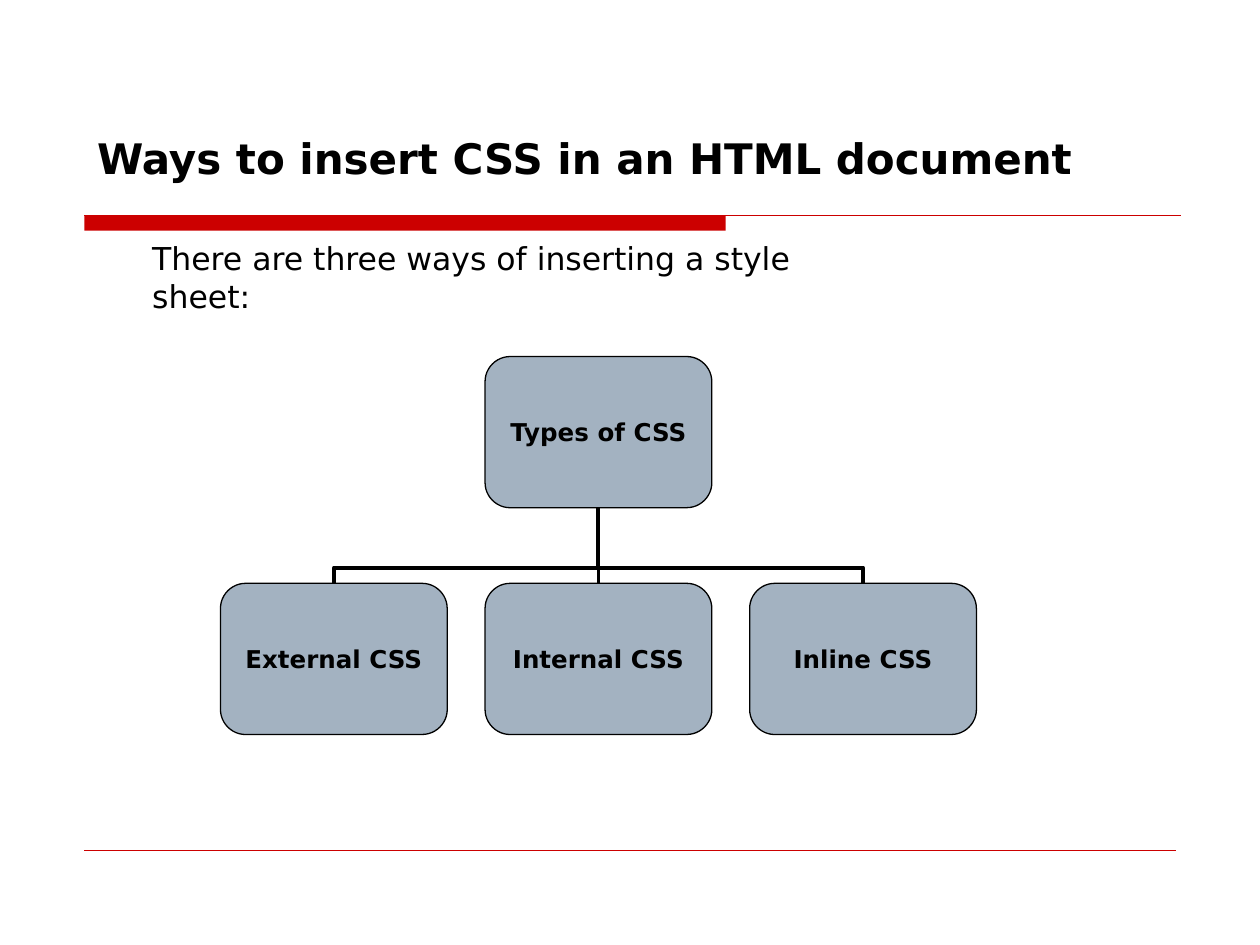
from lxml import etree
from pptx import Presentation
from pptx.dml.color import RGBColor
from pptx.enum.shapes import MSO_CONNECTOR, MSO_SHAPE
from pptx.enum.text import MSO_ANCHOR, MSO_AUTO_SIZE, PP_ALIGN
from pptx.oxml.ns import qn
from pptx.util import Pt

PX = 9144  # 100 px to the inch
STRAIGHT, ELBOW = MSO_CONNECTOR.STRAIGHT, MSO_CONNECTOR.ELBOW
LEFT, CENTER = PP_ALIGN.LEFT, PP_ALIGN.CENTER
MIDDLE, NO_FIT = MSO_ANCHOR.MIDDLE, MSO_AUTO_SIZE.NONE
RED, BLACK, GREY_BLUE = "CC0000", "000000", "A3B2C1"
color = RGBColor.from_string


def write(shape, text, size, bold=False, align=LEFT, inset=(10, 5)):
    frame = shape.text_frame
    frame.word_wrap = True
    frame.auto_size = NO_FIT
    frame.vertical_anchor = MIDDLE
    frame.margin_left = frame.margin_right = inset[0] * PX
    frame.margin_top = frame.margin_bottom = inset[1] * PX
    para = frame.paragraphs[0]
    para.alignment = align
    span = para.add_run()
    span.text = text
    span.font.name = "DejaVu Sans"
    span.font.size = Pt(size)
    span.font.bold = bold
    span.font.color.rgb = color(BLACK)


def connect(kind, x1, y1, x2, y2, line_color, width):
    line = page.shapes.add_connector(kind, x1 * PX, y1 * PX, x2 * PX, y2 * PX)
    line.line.color.rgb = color(line_color)
    line.line.width = Pt(width)
    etree.SubElement(line._element.spPr, qn("a:effectLst"))
    return line


deck = Presentation()
deck.slide_width, deck.slide_height = 1000 * PX, 750 * PX
page = deck.slides.add_slide(deck.slide_layouts[5])

# Red bar under the title, thin rules at its edge and at the foot
bar = page.shapes.add_shape(MSO_SHAPE.RECTANGLE, 67 * PX, 171 * PX, 509 * PX, 12 * PX)
bar.shadow.inherit = False
bar.fill.solid()
bar.fill.fore_color.rgb = color(RED)
bar.line.fill.background()
connect(STRAIGHT, 67, 171, 937, 171, RED, 0.75)
connect(STRAIGHT, 67, 675, 933, 675, RED, 0.25)

# Title and introduction
title = page.shapes.title
title.left, title.top, title.width, title.height = 67 * PX, 92 * PX, 817 * PX, 67 * PX
write(title, "Ways to insert CSS in an HTML document", 24, bold=True)
intro = page.shapes.add_textbox(111 * PX, 200 * PX, 574 * PX, 40 * PX)
write(intro, "There are three ways of inserting a style sheet:", 18)

# Tree layout: one root centred over three children
BOX_W, BOX_H, STEP = 180, 120, 210
ROOT_X, ROOT_Y, CHILD_Y = 385, 283, 463
center_x, root_bottom = ROOT_X + BOX_W // 2, ROOT_Y + BOX_H
drop = CHILD_Y - root_bottom

# Branches: each elbow is a drop-by-STEP frame turned by a quarter
connect(STRAIGHT, center_x, CHILD_Y, center_x, root_bottom, BLACK, 2.25)
middle_y = root_bottom + drop // 2
top, bottom = middle_y - STEP // 2, middle_y + STEP // 2
for side, turn in ((1, 270), (-1, 90)):
    middle_x = center_x + side * STEP // 2
    half = side * drop // 2
    branch = connect(ELBOW, middle_x - half, bottom, middle_x + half, top, BLACK, 2.25)
    properties = branch._element.spPr
    properties.find(qn("a:xfrm")).set("rot", str(turn * 60000))
    adjustments = properties.find(qn("a:prstGeom")).find(qn("a:avLst"))
    etree.SubElement(adjustments, qn("a:gd"), name="adj1", fmla="val 20800")

# Boxes
nodes = [("Types of CSS", ROOT_X, ROOT_Y)]
for column, label in enumerate(("External CSS", "Internal CSS", "Inline CSS")):
    nodes.append((label, ROOT_X + (column - 1) * STEP, CHILD_Y))
for label, x, y in nodes:
    box = page.shapes.add_shape(
        MSO_SHAPE.ROUNDED_RECTANGLE, x * PX, y * PX, BOX_W * PX, BOX_H * PX)
    box.shadow.inherit = False
    box.fill.solid()
    box.fill.fore_color.rgb = color(GREY_BLUE)
    box.line.color.rgb = color(BLACK)
    box.line.width = Pt(0.75)
    write(box, label, 14, bold=True, align=CENTER, inset=(0, 0))

deck.save("out.pptx")
